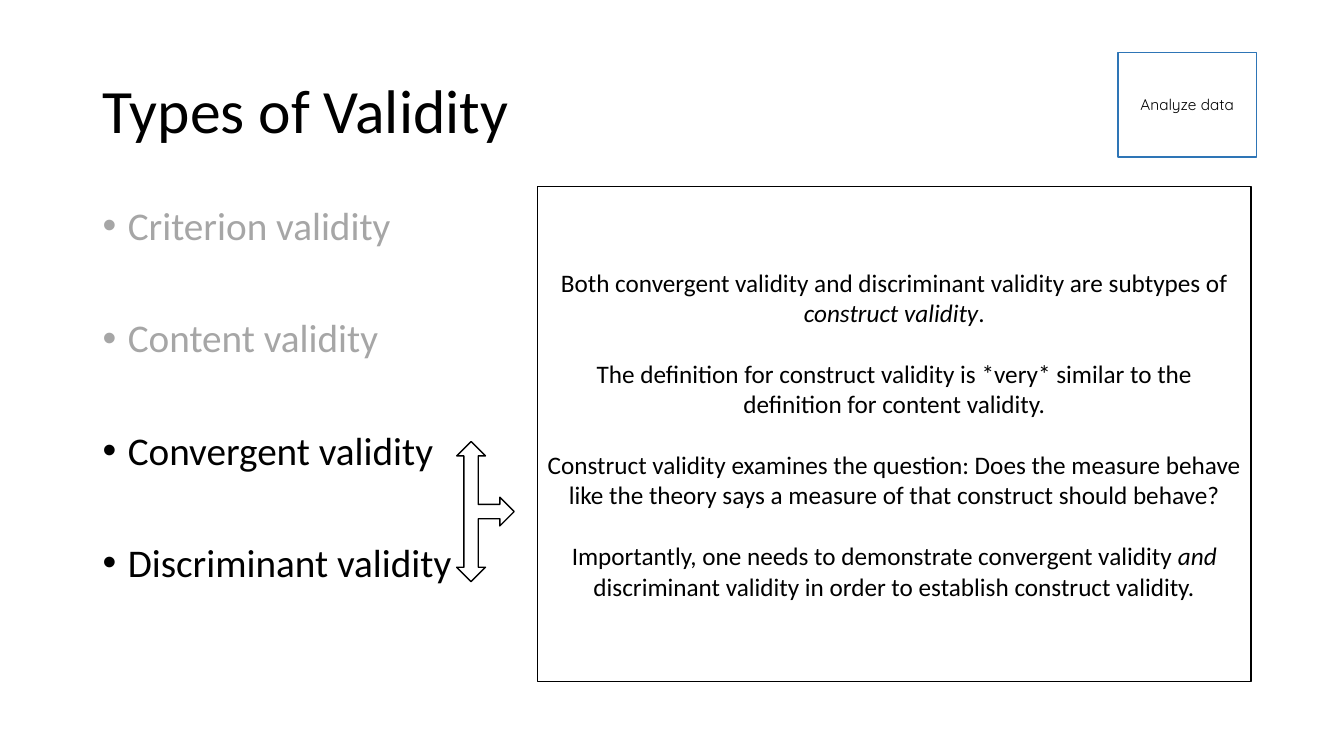
from pptx import Presentation
from pptx.dml.color import RGBColor
from pptx.enum.shapes import MSO_SHAPE
from pptx.enum.text import MSO_ANCHOR, PP_ALIGN
from pptx.oxml.ns import qn
from pptx.util import Inches, Pt
from lxml.etree import SubElement

COLORS = {"text": "000000", "muted": "A6A6A6", "accent": "2E75B6"}

VALIDITY_TYPES = [
    ("Criterion validity", "muted"),
    ("Content validity", "muted"),
    ("Convergent validity", "text"),
    ("Discriminant validity", "text"),
]

EXPLANATION = [
    [("Both convergent validity and discriminant validity are subtypes of ", False),
     ("construct validity", True), (".", False)],
    [("The definition for construct validity is *very* similar to the "
      "definition for content validity.", False)],
    [("Construct validity examines the question: Does the measure behave "
      "like the theory says a measure of that construct should behave?", False)],
    [("Importantly, one needs to demonstrate convergent validity ", False),
     ("and", True),
     (" discriminant validity in order to establish construct validity.", False)],
]


def add_run(p, text, size, color="text", font="Calibri", italic=False):
    """Append one formatted run to a paragraph."""
    r = p.add_run()
    r.text = text
    r.font.name = font
    r.font.size = Pt(size)
    r.font.italic = italic
    r.font.color.rgb = RGBColor.from_string(COLORS[color])


def add_paragraph(tf, index, gap=0):
    """Return the paragraph at index, spaced from the one before it."""
    if index == 0:
        return tf.paragraphs[0]
    p = tf.add_paragraph()
    p.space_before = Pt(gap)
    return p


def add_text_frame(s, box, anchor):
    """Add a wrapping text box and return its text frame."""
    tf = s.shapes.add_textbox(*map(Inches, box)).text_frame
    tf.word_wrap = True
    tf.vertical_anchor = anchor
    return tf


def add_outline(s, kind, box, color):
    """Add an unfilled shape with a thin outline."""
    sp = s.shapes.add_shape(kind, *map(Inches, box))
    sp.shadow.inherit = False
    sp.fill.background()
    sp.line.color.rgb = RGBColor.from_string(COLORS[color])
    sp.line.width = Pt(1)
    return sp


def add_title(s, box):
    """Add the slide title."""
    p = add_text_frame(s, box, MSO_ANCHOR.MIDDLE).paragraphs[0]
    p.line_spacing = 0.9
    add_run(p, "Types of Validity", 44)


def add_validity_list(s, box):
    """Add the bulleted list of validity types."""
    tf = add_text_frame(s, box, MSO_ANCHOR.TOP)
    for i, (name, color) in enumerate(VALIDITY_TYPES):
        p = add_paragraph(tf, i, 50)
        p.line_spacing = 0.9
        pPr = p._p.get_or_add_pPr()
        pPr.set("marL", str(Inches(0.25)))
        pPr.set("indent", str(Inches(-0.25)))
        SubElement(pPr, qn("a:buFont")).set("typeface", "Arial")
        SubElement(pPr, qn("a:buChar")).set("char", "•")
        add_run(p, name, 28, color)


def add_boxed_text(s, box, paragraphs, size, color, font="Calibri", gap=0):
    """Add an outlined rectangle with centred paragraphs."""
    tf = add_outline(s, MSO_SHAPE.RECTANGLE, box, color).text_frame
    tf.word_wrap = True
    tf.vertical_anchor = MSO_ANCHOR.MIDDLE
    for i, runs in enumerate(paragraphs):
        p = add_paragraph(tf, i, gap)
        p.alignment = PP_ALIGN.CENTER
        for text, italic in runs:
            add_run(p, text, size, font=font, italic=italic)


def add_joining_arrow(s, box):
    """Add the three-way arrow from the last two types to the panel."""
    add_outline(s, MSO_SHAPE.LEFT_RIGHT_UP_ARROW, box, "text").rotation = 90


def main():
    """Build and save the slide."""
    prs = Presentation()
    prs.slide_width, prs.slide_height = Inches(13.33), Inches(7.5)
    s = prs.slides.add_slide(prs.slide_layouts[6])
    add_title(s, (0.92, 0.4, 11.5, 1.45))
    add_validity_list(s, (0.92, 2, 11.5, 4.76))
    add_boxed_text(s, (11.09, 0.52, 1.37, 1.04), [[("Analyze data", False)]],
                   11, "accent", font="Quicksand")
    add_joining_arrow(s, (4.12, 4.79, 1.39, 0.57))
    add_boxed_text(s, (5.33, 1.85, 7.08, 4.91), EXPLANATION, 18, "text", gap=22)
    prs.save("out.pptx")


if __name__ == "__main__":
    main()
